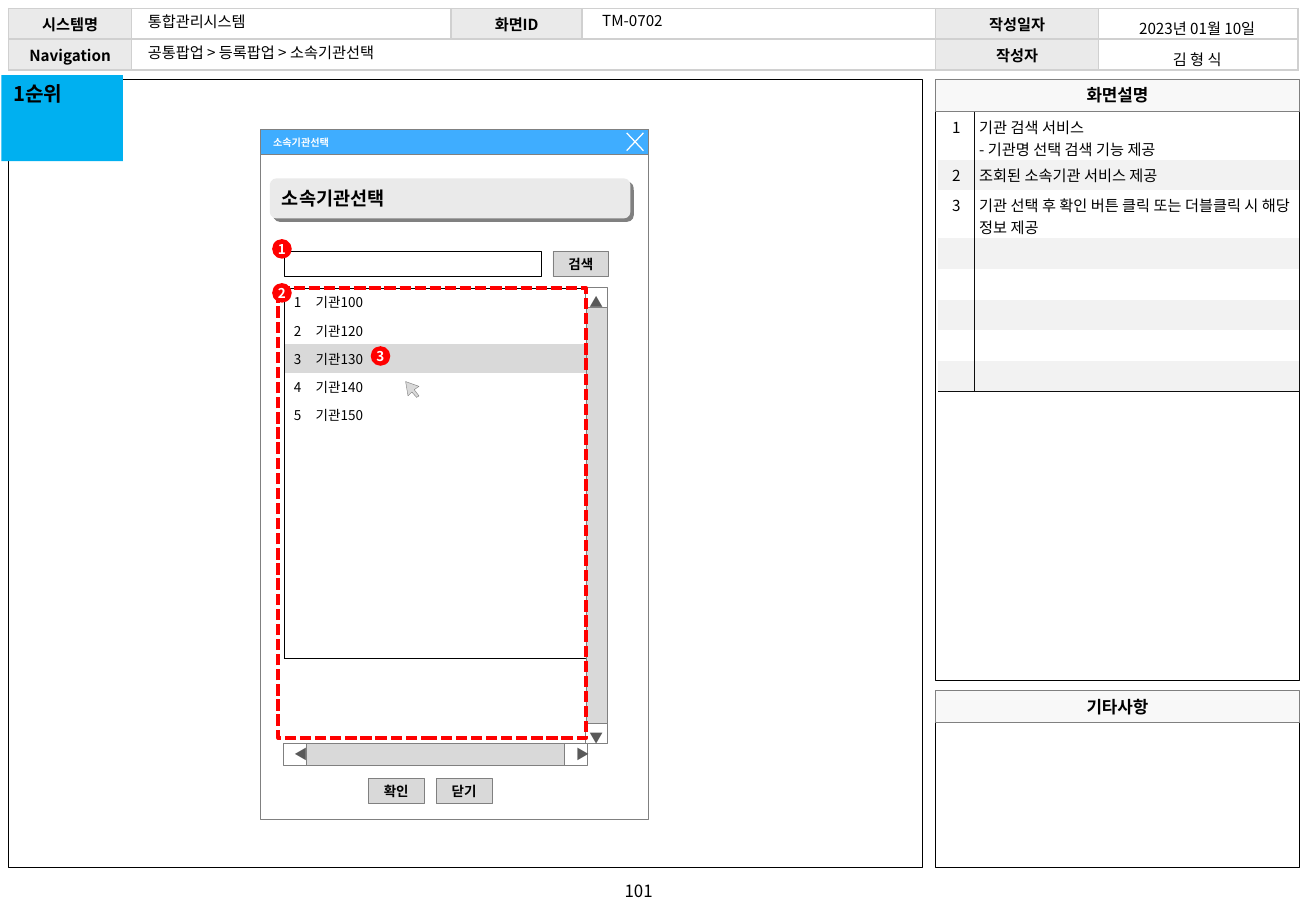
from lxml import etree
from pptx import Presentation
from pptx.dml.color import RGBColor
from pptx.enum import dml, shapes, text
from pptx.oxml.ns import qn
from pptx.util import Cm, Pt

FONT = "Noto Sans CJK KR"
BLACK = RGBColor(0x00, 0x00, 0x00)
WHITE = RGBColor(0xFF, 0xFF, 0xFF)
RED = RGBColor(0xFF, 0x00, 0x00)
STICKY_BLUE = RGBColor(0x00, 0xB0, 0xF0)
BAR_BLUE = RGBColor(0x3F, 0xAD, 0xFF)
PANEL_GREY = RGBColor(0xF8, 0xF8, 0xF8)
BAND_GREY = RGBColor(0xF2, 0xF2, 0xF2)
LABEL_GREY = RGBColor(0xEA, 0xEA, 0xEA)
BUTTON_GREY = RGBColor(0xD9, 0xD9, 0xD9)
GRID_GREY = RGBColor(0xD0, 0xD0, 0xD0)
EDGE_GREY = RGBColor(0x80, 0x80, 0x80)
ARROW_GREY = RGBColor(0x59, 0x59, 0x59)
RULE_BLACK = RGBColor(0x0D, 0x0D, 0x0D)

LEFT, CENTER = text.PP_ALIGN.LEFT, text.PP_ALIGN.CENTER
TOP, MIDDLE = text.MSO_ANCHOR.TOP, text.MSO_ANCHOR.MIDDLE
RECT = shapes.MSO_SHAPE.RECTANGLE
OVAL = shapes.MSO_SHAPE.OVAL

deck = Presentation()
deck.slide_width, deck.slide_height = Cm(27.51), Cm(19.05)
page = deck.slides.add_slide(deck.slide_layouts[5])


def write(frame, words, size, bold=False, color=BLACK, align=CENTER):
    """Fill a text frame, one paragraph for each line of words."""
    for number, line in enumerate(words.split("\n")):
        para = frame.add_paragraph() if number else frame.paragraphs[0]
        para.alignment = align
        if not line:
            etree.SubElement(para._p, qn("a:endParaRPr"), sz=str(size * 100))
            continue
        span = para.add_run()
        span.text = line
        for key, value in {"name": FONT, "size": Pt(size), "bold": bold}.items():
            setattr(span.font, key, value)
        span.font.color.rgb = color
        etree.SubElement(span._r.rPr, qn("a:ea"), typeface=FONT)


def draw(kind, place, fill=None, line=None, width=0.5, words="", size=8,
         bold=True, color=BLACK, align=CENTER, anchor=MIDDLE, wrap=True):
    """Add a preset shape at left, top, width, height in centimetres."""
    box = page.shapes.add_shape(kind, *map(Cm, place))
    box.shadow.inherit = False
    if fill is None:
        box.fill.background()
    else:
        box.fill.solid()
        box.fill.fore_color.rgb = fill
    if line is None:
        box.line.fill.background()
    else:
        box.line.color.rgb = line
        box.line.width = Pt(width)
    if words:
        box.text_frame.word_wrap = wrap
        box.text_frame.vertical_anchor = anchor
        write(box.text_frame, words, size, bold, color, align)
    return box


# Screen frame and side panels
draw(RECT, (0.18, 1.65, 19.1, 16.48), line=BLACK, width=0.25)
for label, top, height in (("화면설명", 1.65, 11.9), ("기타사항", 14.43, 3.02)):
    draw(RECT, (19.56, top + 0.68, 7.6, height), line=BLACK, width=0.25)
    draw(RECT, (19.56, top, 7.6, 0.68), PANEL_GREY, EDGE_GREY, 0.25, label, 10)

# Popup window with title bar and close mark
draw(RECT, (5.45, 2.7, 8.1, 14.43), WHITE, EDGE_GREY)
draw(RECT, (5.45, 2.7, 8.1, 0.54), BAR_BLUE, EDGE_GREY)
for start, end in ((2.78, 3.15), (3.15, 2.78)):
    stroke = page.shapes.add_connector(
        shapes.MSO_CONNECTOR.STRAIGHT, Cm(13.1), Cm(start), Cm(13.45), Cm(end))
    stroke.line.color.rgb = WHITE
    stroke.line.width = Pt(0.75)
    etree.SubElement(stroke._element.spPr, qn("a:effectLst"))

# Popup heading: raised bar with the title on it
bar = draw(shapes.MSO_SHAPE.ROUNDED_RECTANGLE, (5.64, 3.73, 7.54, 0.84), LABEL_GREY)
shadow = etree.SubElement(
    bar._element.spPr.find(qn("a:effectLst")), qn("a:outerShdw"),
    blurRad="0", dist="35560", dir="2700000", algn="tl", rotWithShape="0")
etree.SubElement(shadow, qn("a:srgbClr"), val=str(EDGE_GREY))
title = page.shapes.title
for key, value in {"left": 5.64, "top": 3.73, "width": 7.54, "height": 0.84}.items():
    setattr(title, key, Cm(value))
title.text_frame.auto_size = text.MSO_AUTO_SIZE.NONE
title.text_frame.vertical_anchor = MIDDLE
write(title.text_frame, "소속기관선택", 11, True, align=LEFT)
page.shapes._spTree.append(title._element)

# Tables: fill and borders are rules on row and column
organisations = [(str(n), f"기관{90 + n * 10 if n > 1 else 100}") for n in ()]
organisations = [("1", "기관100")] + [
    (str(n), f"기관{100 + n * 10}") for n in range(2, 6)] + [("", "")] * 8
tables = [
    {"place": (0.18, 0.18), "columns": (2.57, 6.68, 2.74, 7.39, 3.4, 4.17),
     "rows": (0.64,) * 2, "size": 9, "bold": True, "aligns": (CENTER,) * 6,
     "margins": (0,) * 6, "anchor": MIDDLE, "line": (GRID_GREY, 1),
     "texts": [("시스템명", "", "화면ID", "", "작성일자", ""),
               ("Navigation", "", "", "", "작성자", "")],
     "fill": lambda row, col: LABEL_GREY if col % 2 == 0 else None,
     "sides": lambda row, col: "LRTB"},
    {"place": (5.94, 6.02), "columns": (0.56, 5.79),
     "rows": (0.59,) * 12 + (0.66,), "size": 8, "bold": False,
     "aligns": (CENTER, LEFT), "margins": (0, 0.1), "anchor": MIDDLE,
     "line": (BLACK, 0.25), "texts": organisations,
     "fill": lambda row, col: BUTTON_GREY if row == 2 else WHITE,
     "sides": lambda row, col: "LR"[col] + {0: "T", 12: "B"}.get(row, "")},
    {"place": (19.61, 2.34), "columns": (0.76, 6.78),
     "rows": (0.97, 0.64, 0.97) + (0.64,) * 5, "size": 9, "bold": False,
     "aligns": (CENTER, LEFT), "margins": (0, 0.1), "anchor": TOP, "pad": 0.08,
     "line": (RULE_BLACK, 0.25),
     "texts": [("1", "기관 검색 서비스\n- 기관명 선택 검색 기능 제공"),
               ("2", "조회된 소속기관 서비스 제공"),
               ("3", "기관 선택 후 확인 버튼 클릭 또는 더블클릭 시 해당 정보 제공")]
              + [("", "")] * 5,
     "fill": lambda row, col: BAND_GREY if row % 2 else None,
     "sides": lambda row, col: "LRB" if col else "RB"},
    {"place": (22.94, 0.27), "columns": (4.17,), "rows": (0.64,) * 2,
     "size": 9, "bold": False, "aligns": (CENTER,), "margins": (0,),
     "anchor": MIDDLE, "line": (BLACK, 0.25),
     "texts": [("2023년 01월 10일",), ("김 형 식",)],
     "fill": lambda row, col: None, "sides": lambda row, col: ""},
]
for plan in tables:
    sizes = (sum(plan["columns"]), sum(plan["rows"]))
    grid = page.shapes.add_table(len(plan["rows"]), len(plan["columns"]),
                                 *map(Cm, plan["place"] + sizes)).table
    grid.first_row = grid.horz_banding = False
    for column, width in zip(grid.columns, plan["columns"]):
        column.width = Cm(width)
    for row, height in enumerate(plan["rows"]):
        grid.rows[row].height = Cm(height)
        for col, words in enumerate(plan["texts"][row]):
            cell = grid.cell(row, col)
            side_margin = Cm(plan["margins"][col])
            for key, value in {"margin_left": side_margin, "margin_right": side_margin,
                               "margin_top": Cm(plan.get("pad", 0)), "margin_bottom": 0,
                               "vertical_anchor": plan["anchor"]}.items():
                setattr(cell, key, value)
            write(cell.text_frame, words, plan["size"], plan["bold"],
                  align=plan["aligns"][col])
            color, width = plan["line"]
            for side in "LRTB":
                edge = etree.SubElement(cell._tc.get_or_add_tcPr(), qn(f"a:ln{side}"),
                                        w=str(Pt(width)))
                if side in plan["sides"](row, col):
                    paint = etree.SubElement(edge, qn("a:solidFill"))
                    etree.SubElement(paint, qn("a:srgbClr"), val=str(color))
                else:
                    etree.SubElement(edge, qn("a:noFill"))
            fill = plan["fill"](row, col)
            if fill is None:
                cell.fill.background()
            else:
                cell.fill.solid()
                cell.fill.fore_color.rgb = fill
    if len(plan["columns"]) == 6:
        grid.cell(1, 1).merge(grid.cell(1, 3))
        grid.cell(1, 1).fill.background()

# Scroll bars
for track in ((12.25, 6.4, 0.46, 8.74), (6.2, 15.54, 5.84, 0.46)):
    draw(RECT, track, BUTTON_GREY, EDGE_GREY)
for arrow, left, top, width, turn in (
        ("◀", 12.27, 5.99, 0.41, 90), ("▶", 12.27, 15.11, 0.41, 90),
        ("◀", 5.92, 15.54, 0.48, 0), ("▶", 11.81, 15.54, 0.48, 0)):
    button = draw(RECT, (left, top, width, 0.46), WHITE, EDGE_GREY,
                  words=arrow, color=ARROW_GREY)
    button.rotation = turn

# Marked list area, search field and buttons
area = draw(RECT, (5.82, 6.02, 6.43, 9.42), line=RED, width=2.25)
area.line.dash_style = dml.MSO_LINE.SQUARE_DOT
draw(RECT, (5.94, 5.26, 5.38, 0.53), WHITE, BLACK)
for label, left, top in (("검색", 11.56, 5.26), ("확인", 7.7, 16.28), ("닫기", 9.12, 16.28)):
    draw(RECT, (left, top, 1.17, 0.53), BUTTON_GREY, EDGE_GREY, words=label)

# Mouse pointer
points = [(8.48, 7.98), (8.76, 8.08), (8.66, 8.15), (8.76, 8.28),
          (8.71, 8.31), (8.61, 8.2), (8.53, 8.28)]
outline = [(Cm(x), Cm(y)) for x, y in points]
builder = page.shapes.build_freeform(*outline[0])
builder.add_line_segments(outline[1:], close=True)
pointer = builder.convert_to_shape()
pointer.shadow.inherit = False
pointer.fill.solid()
pointer.fill.fore_color.rgb = BUTTON_GREY
pointer.line.color.rgb = EDGE_GREY
pointer.line.width = Pt(0.25)

# Numbered badges
for number, left, top in (("1", 5.69, 5), ("2", 5.69, 5.92), ("3", 7.75, 7.24)):
    draw(OVAL, (left, top, 0.41, 0.41), RED, words=number, color=WHITE, wrap=False)

# Free texts
for words, place, size, bold, color, align in (
        ("소속기관선택", (5.46, 2.72, 7.72, 0.5), 6, True, WHITE, LEFT),
        ("통합관리시스템", (2.84, 0.14, 5, 0.64), 9, False, BLACK, LEFT),
        ("TM-0702", (12.34, 0.12, 3, 0.64), 9, False, BLACK, LEFT),
        ("공통팝업 > 등록팝업 > 소속기관선택", (2.84, 0.79, 8, 0.64), 9, False, BLACK, LEFT),
        ("101", (12.45, 18.29, 1.8, 0.68), 10, False, BLACK, CENTER)):
    box = page.shapes.add_textbox(*map(Cm, place))
    box.text_frame.word_wrap = True
    write(box.text_frame, words, size, bold, color, align)

# Priority note
draw(RECT, (0.03, 1.57, 2.54, 1.8), STICKY_BLUE, words="1순위", size=12,
     align=LEFT, anchor=TOP)

deck.save("out.pptx")
